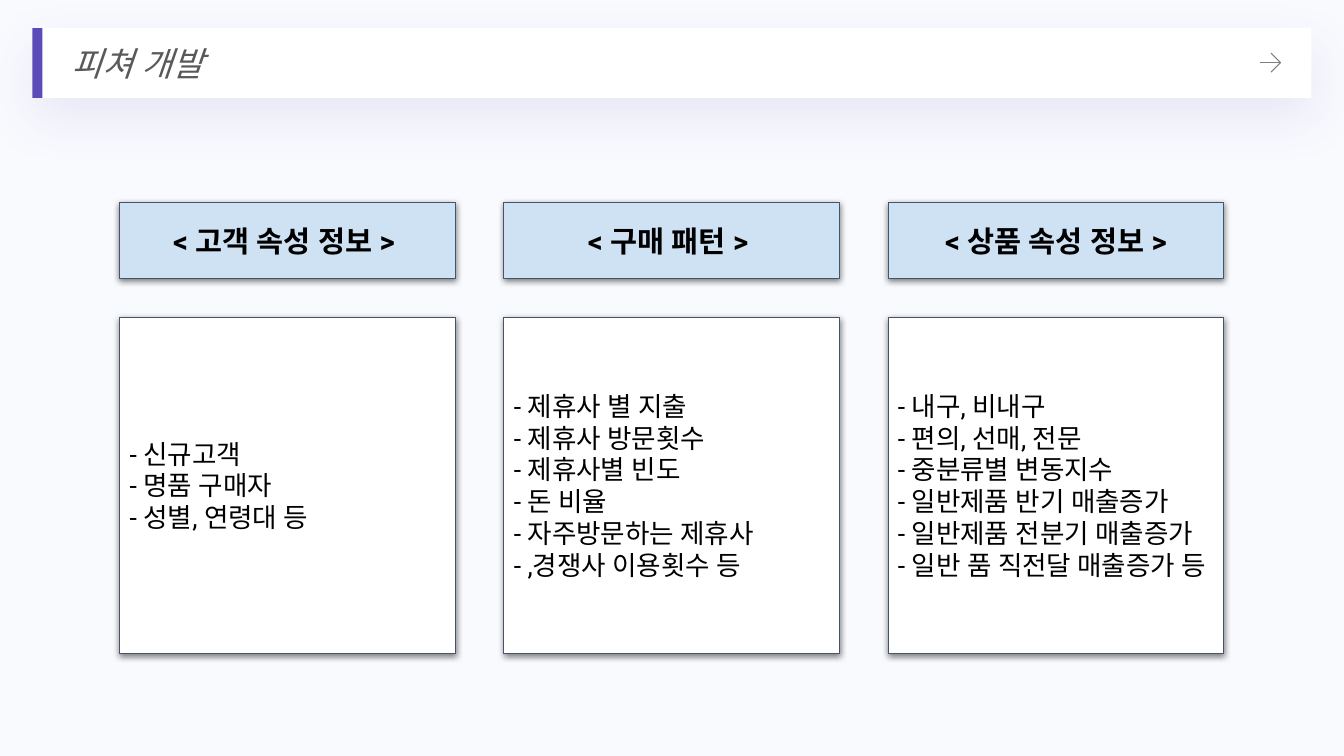
from dataclasses import dataclass
from typing import Optional

from lxml.etree import SubElement
from pptx import Presentation
from pptx.dml.color import RGBColor
from pptx.enum.lang import MSO_LANGUAGE_ID as Language
from pptx.enum.shapes import MSO_CONNECTOR as Connector
from pptx.enum.shapes import MSO_SHAPE as Shape
from pptx.enum.text import MSO_ANCHOR as Anchor
from pptx.enum.text import PP_ALIGN as Align
from pptx.oxml.ns import qn
from pptx.util import Cm, Pt

COLORS = {
    "page": "F9FAFE",
    "white": "FFFFFF",
    "accent": "5B4BB9",
    "header": "CFE2F3",
    "border": "44546A",
    "title": "595959",
    "arrow": "7F7F7F",
    "text": "000000",
}
FONT = "Roboto"


@dataclass(frozen=True)
class Shadow:
    color: str
    opacity: int
    blur: float
    distance: float


@dataclass(frozen=True)
class BoxStyle:
    fill: str
    border: Optional[str] = None
    shadow: Optional[Shadow] = None


@dataclass(frozen=True)
class TextStyle:
    size: int
    color: str = "text"
    bold: bool = False
    italic: bool = False
    align: Align = Align.LEFT
    inset: float = 0.25
    indent: float = 0


@dataclass(frozen=True)
class Feature:
    heading: str
    items: tuple[str, ...]


CARD_SHADOW = Shadow("text", 50, 4.5, 1.5)
TITLE_BAR = BoxStyle("white", shadow=Shadow("accent", 10, 35, 13))
ACCENT_BAR = BoxStyle("accent")
HEADER_CARD = BoxStyle("header", "border", CARD_SHADOW)
BODY_CARD = BoxStyle("white", "border", CARD_SHADOW)

TITLE_TEXT = TextStyle(24, "title", italic=True, inset=0.13, indent=0.74)
HEADER_TEXT = TextStyle(21, bold=True, align=Align.CENTER)
BODY_TEXT = TextStyle(19)

FEATURES = (
    Feature("< 고객 속성 정보 > ", ("- 신규고객", "- 명품 구매자", "- 성별, 연령대 등")),
    Feature("< 구매 패턴 > ", (
        "- 제휴사 별 지출", "- 제휴사 방문횟수", "- 제휴사별 빈도",
        "- 돈 비율", "- 자주방문하는 제휴사", "- ,경쟁사 이용횟수 등",
    )),
    Feature("< 상품 속성 정보 >", (
        "- 내구, 비내구", "- 편의, 선매, 전문", "- 중분류별 변동지수",
        "- 일반제품 반기 매출증가", "- 일반제품 전분기 매출증가",
        "- 일반 품 직전달 매출증가 등",
    )),
)
CARD_LEFT, CARD_PITCH, CARD_WIDTH = 3.02, 9.68, 8.46
HEADER_TOP, HEADER_HEIGHT, BODY_TOP = 5.1, 1.92, 8


def color(name: str) -> RGBColor:
    return RGBColor.from_string(COLORS[name])


def add_shadow(box, shadow: Shadow) -> None:
    effects = box._element.spPr.find(qn("a:effectLst"))
    outer = SubElement(
        effects, qn("a:outerShdw"), blurRad=str(Pt(shadow.blur)),
        dist=str(Pt(shadow.distance)), dir="5400000", algn="ctr", rotWithShape="0",
    )
    shade = SubElement(outer, qn("a:srgbClr"), val=COLORS[shadow.color])
    SubElement(shade, qn("a:alpha"), val=str(shadow.opacity * 1000))


def add_box(page, left: float, top: float, width: float, height: float, style: BoxStyle):
    box = page.shapes.add_shape(Shape.RECTANGLE, Cm(left), Cm(top), Cm(width), Cm(height))
    box.fill.solid()
    box.fill.fore_color.rgb = color(style.fill)
    if style.border:
        box.line.color.rgb = color(style.border)
        box.line.width = Pt(0.75)
    else:
        box.line.fill.background()
    box.shadow.inherit = False
    if style.shadow:
        add_shadow(box, style.shadow)
    return box


def write(box, lines: tuple[str, ...], style: TextStyle) -> None:
    frame = box.text_frame
    frame_format = {
        "word_wrap": True,
        "vertical_anchor": Anchor.MIDDLE,
        "margin_left": Cm(0.25),
        "margin_right": Cm(0.25),
        "margin_top": Cm(style.inset),
        "margin_bottom": Cm(style.inset),
    }
    for name, value in frame_format.items():
        setattr(frame, name, value)
    font_format = {
        "name": FONT,
        "size": Pt(style.size),
        "bold": style.bold,
        "italic": style.italic,
        "language_id": Language.KOREAN,
    }
    for index, line in enumerate(lines):
        para = frame.add_paragraph() if index else frame.paragraphs[0]
        para.alignment = style.align
        if style.indent:
            para._p.get_or_add_pPr().set("marL", str(Cm(style.indent)))
        span = para.add_run()
        span.text = line
        for name, value in font_format.items():
            setattr(span.font, name, value)
        span.font.color.rgb = color(style.color)
        for script in ("a:ea", "a:cs"):
            SubElement(span._r.rPr, qn(script), typeface=FONT)


def add_arrow(page, left: float, right: float, middle: float, head: float) -> None:
    arrow = page.shapes.add_group_shape()
    outline = arrow.shapes.build_freeform(Cm(right - head), Cm(middle - head))
    outline.add_line_segments(
        [(Cm(right), Cm(middle)), (Cm(right - head), Cm(middle + head))], close=False
    )
    chevron = outline.convert_to_shape()
    chevron.fill.background()
    chevron.shadow.inherit = False
    shaft = arrow.shapes.add_connector(
        Connector.STRAIGHT, Cm(left), Cm(middle), Cm(right), Cm(middle)
    )
    SubElement(shaft._element.spPr, qn("a:effectLst"))
    for part in (chevron, shaft):
        part.line.color.rgb = color("arrow")
        part.line.width = Pt(0.75)


def add_feature(page, left: float, feature: Feature) -> None:
    header = add_box(page, left, HEADER_TOP, CARD_WIDTH, HEADER_HEIGHT, HEADER_CARD)
    write(header, (feature.heading,), HEADER_TEXT)
    body = add_box(page, left, BODY_TOP, CARD_WIDTH, CARD_WIDTH, BODY_CARD)
    write(body, feature.items, BODY_TEXT)


def main() -> None:
    deck = Presentation()
    deck.slide_width, deck.slide_height = Cm(33.87), Cm(19.05)
    page = deck.slides.add_slide(deck.slide_layouts[6])
    page.background.fill.solid()
    page.background.fill.fore_color.rgb = color("page")

    title = add_box(page, 0.82, 0.71, 32.23, 1.76, TITLE_BAR)
    write(title, ("피쳐 개발",), TITLE_TEXT)
    add_box(page, 0.82, 0.71, 0.25, 1.76, ACCENT_BAR)
    add_arrow(page, 31.75, 32.27, 1.58, 0.24)

    for index, feature in enumerate(FEATURES):
        add_feature(page, CARD_LEFT + index * CARD_PITCH, feature)
    deck.save("out.pptx")


if __name__ == "__main__":
    main()
